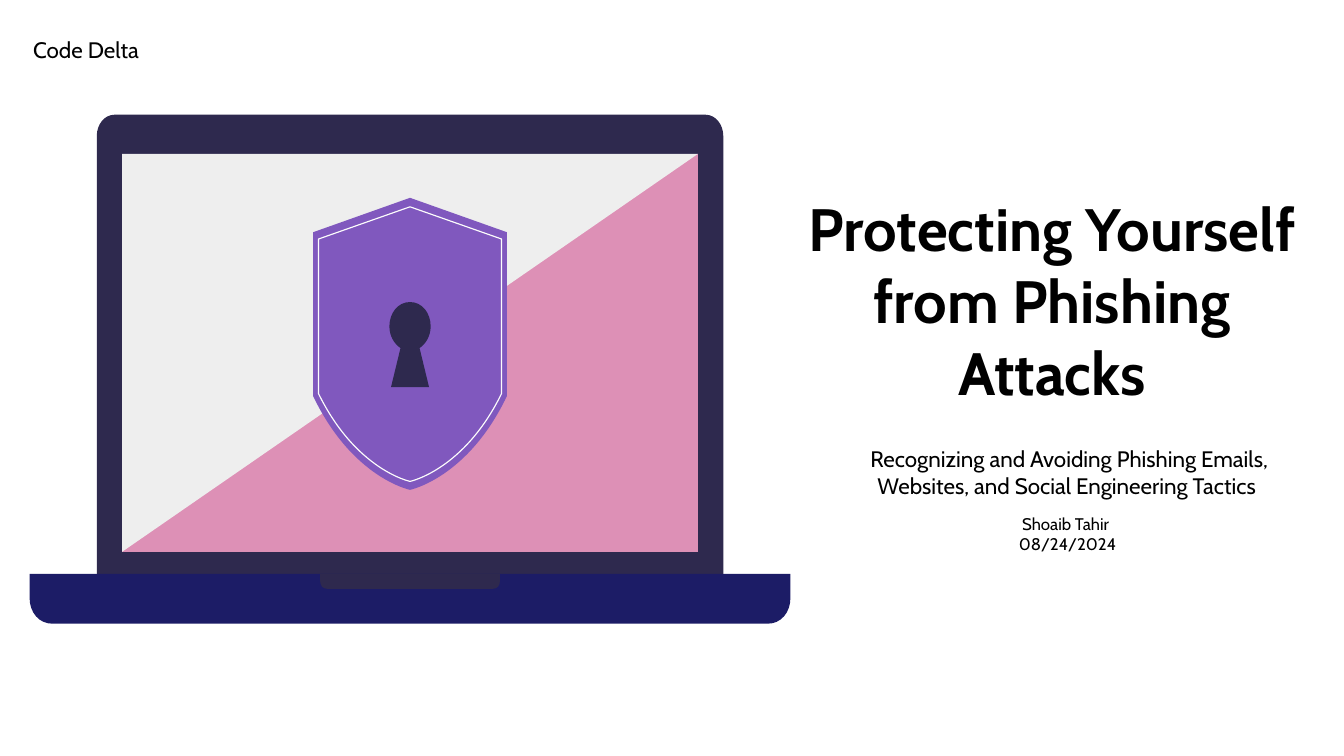
"""Build a title slide about phishing with a laptop and a shield."""
from pptx import Presentation
from pptx.dml.color import RGBColor
from pptx.enum.text import MSO_ANCHOR as Anchor, PP_ALIGN as Align
from pptx.oxml.ns import qn
from pptx.oxml.xmlchemy import OxmlElement as Element
from pptx.util import Cm, Pt

COLORS = {"ink": "000000", "dark": "2E294E", "navy": "1C1C66", "pink": "DD90B6",
          "pale": "EEEEEE", "violet": "8058BE", "rim": "FCFCFC"}
FONT = "Cabin"
AXIS = 7.75
SCREEN_HALF, SCREEN_TOP, SCREEN_BOTTOM = 5.44, 2.91, 10.43

TEXTS = [
    {"lines": ["Protecting Yourself from Phishing Attacks"],
     "box": (14.93, 3.99, 9.91, 3.96), "anchor": Anchor.BOTTOM,
     "font": {"size": Pt(32), "bold": True}},
    {"lines": [" Recognizing and Avoiding Phishing Emails, Websites, and Social Engineering Tactics"],
     "box": (15.21, 8.16, 9.91, 2.21), "anchor": Anchor.TOP, "font": {"size": Pt(12)}},
    {"lines": ["Code Delta "],
     "box": (-3.28, 0.44, 9.91, 2.21), "anchor": Anchor.TOP, "font": {"size": Pt(12)}},
    {"lines": ["Shoaib Tahir ", "08/24/2024"],
     "box": (15.22, 9.46, 9.91, 2.21), "anchor": Anchor.TOP, "font": {"size": Pt(9)}},
]

LID = [[(5.59, 2.17)], [(5.77, 2.17), (5.92, 2.35), (5.92, 2.57)], [(5.92, 10.85)]]
SCREEN = [[(SCREEN_HALF, SCREEN_TOP)], [(SCREEN_HALF, SCREEN_BOTTOM)]]
BASE = [[(7.19, 10.85)], [(7.19, 11.3)], [(7.19, 11.58), (7.01, 11.79), (6.76, 11.79)]]
NOTCH = [[(1.7, 10.85)], [(1.7, 10.97)], [(1.7, 11.07), (1.65, 11.13), (1.57, 11.13)]]
GLARE = [[(-SCREEN_HALF, SCREEN_TOP)], [(-SCREEN_HALF, SCREEN_BOTTOM)],
         [(SCREEN_HALF, SCREEN_TOP)]]
SHIELD = [[(0, 3.74)], [(1.83, 4.39)], [(1.83, 7.49)], [(1.09, 9.04), (0, 9.26), (0, 9.26)]]
SHIELD_RIM = [[(0, 3.91)], [(1.73, 4.52)], [(1.73, 7.44)], [(1.02, 8.89), (0, 9.1), (0, 9.1)]]
KEYHOLE = [[(0, 5.71)], [(0.23, 5.71), (0.39, 5.92), (0.39, 6.17)],
           [(0.39, 6.35), (0.3, 6.5), (0.18, 6.58)], [(0.36, 7.32)]]


def color(name):
    return RGBColor.from_string(COLORS[name])


def mirrored(half):
    def flip(point):
        return -point[0], point[1]

    last = half[-1][-1]
    segments = half + ([[flip(last)]] if last[0] else [])
    for before, segment in zip(half[-2::-1], half[:0:-1]):
        segments = segments + [[flip(point) for point in segment[-2::-1] + before[-1:]]]
    return segments


def bend_curves(shape, segments):
    lines = iter(list(shape._element.iter(qn("a:lnTo"))))
    for segment in segments:
        group = [next(lines) for _ in segment]
        if len(group) == 3:
            curve = Element("a:cubicBezTo")
            group[0].addprevious(curve)
            for line in group:
                curve.append(line[0])
                line.getparent().remove(line)


def add_outline(slide, segments, fill=None, line=None):
    corners = [(Cm(AXIS + x), Cm(y)) for segment in segments for x, y in segment]
    builder = slide.shapes.build_freeform(*corners[0])
    builder.add_line_segments(corners[1:], close=True)
    shape = builder.convert_to_shape()
    bend_curves(shape, segments[1:])
    shape.shadow.inherit = False
    for part, name in ((shape.fill, fill), (shape.line.fill, line)):
        if name:
            part.solid()
            part.fore_color.rgb = color(name)
        else:
            part.background()
    if line:
        shape.line.width = Pt(0.61)


def add_text(slide, lines, box, anchor, font):
    frame = slide.shapes.add_textbox(*map(Cm, box)).text_frame
    frame.text = "\n".join(lines)
    settings = {"word_wrap": True, "vertical_anchor": anchor}
    settings.update({f"margin_{side}": Cm(0.25) for side in ("left", "top", "right", "bottom")})
    for name, value in settings.items():
        setattr(frame, name, value)
    for paragraph in frame.paragraphs:
        paragraph.alignment = Align.CENTER
        run_font = paragraph.runs[0].font
        run_font.color.rgb = color("ink")
        for name, value in {"name": FONT, **font}.items():
            setattr(run_font, name, value)


def main():
    presentation = Presentation()
    presentation.slide_width, presentation.slide_height = Cm(25.4), Cm(14.29)
    slide = presentation.slides.add_slide(presentation.slide_layouts[6])
    for half, fill in ((LID, "dark"), (SCREEN, "pink"), (BASE, "navy"), (NOTCH, "dark")):
        add_outline(slide, mirrored(half), fill)
    add_outline(slide, GLARE, "pale")
    add_outline(slide, mirrored(SHIELD), "violet")
    add_outline(slide, mirrored(SHIELD_RIM), line="rim")
    add_outline(slide, mirrored(KEYHOLE), "dark")
    for text in TEXTS:
        add_text(slide, **text)
    presentation.save("out.pptx")


if __name__ == "__main__":
    main()
